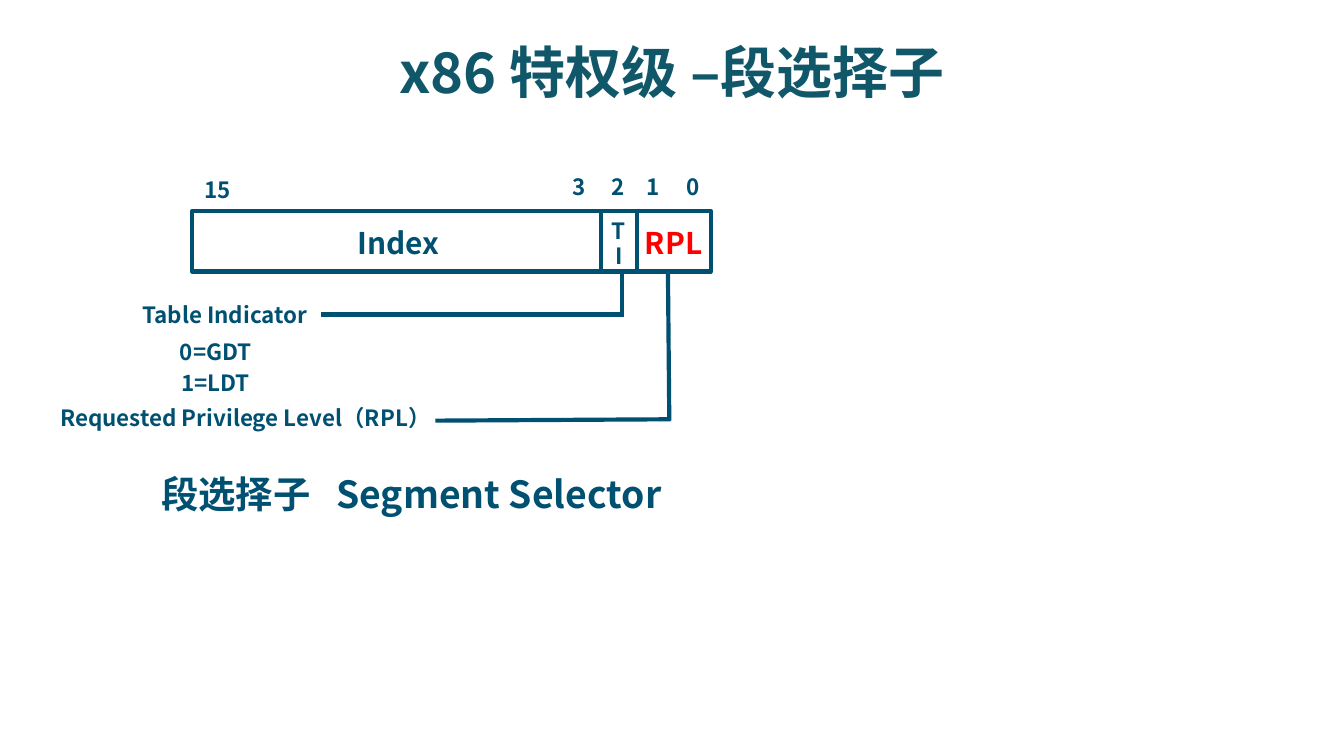
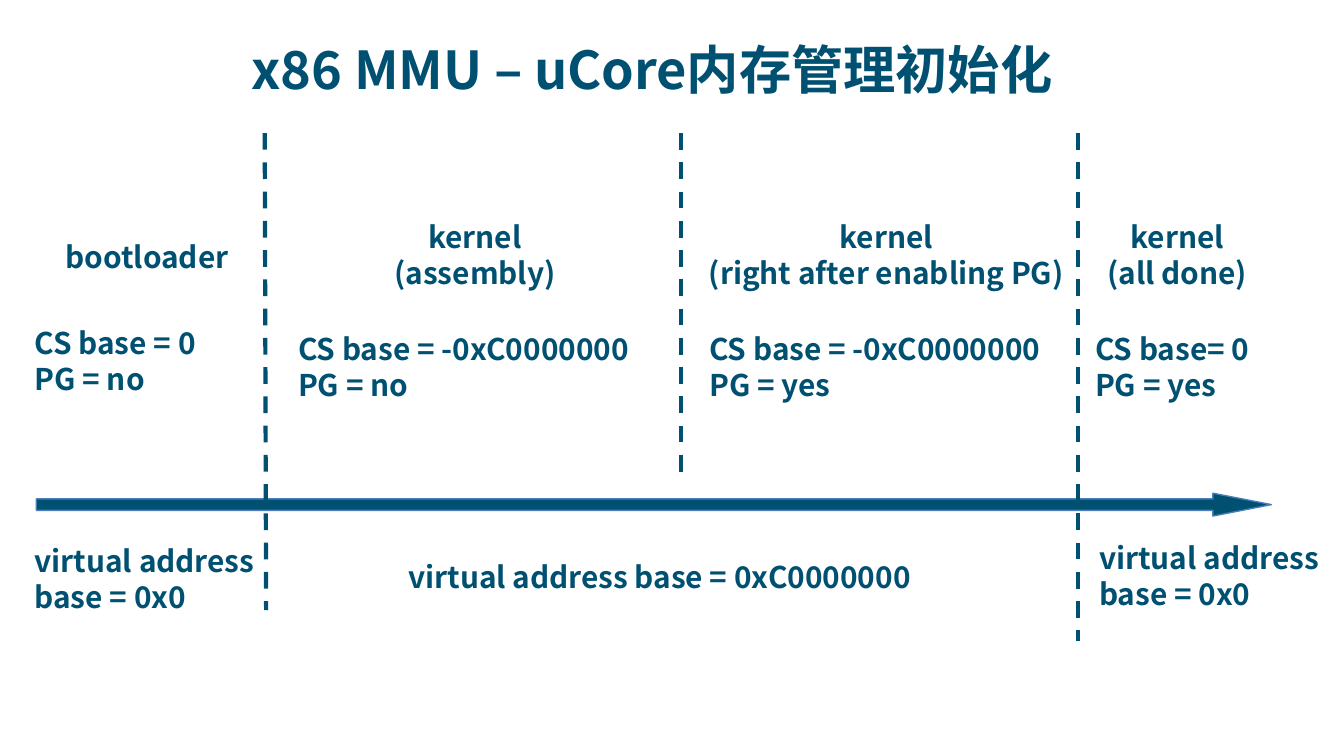
from typing import NamedTuple

from lxml import etree
from pptx import Presentation
from pptx import util as u
from pptx.dml.color import RGBColor
from pptx.enum import dml, shapes, text
from pptx.oxml.ns import qn

# Shared style: 100 px to the inch
PX = 9144
FONT = "Noto Sans CJK SC"
NAVY = "005072"
TEAL = "11576A"
RED = "FF0000"
ARROW_EDGE = "4A7EBB"
LINE_WIDTH = 2.25
LINE_PITCH = 1.2


class Label(NamedTuple):
    words: str
    left: int
    top: int
    width: int
    height: int
    size: int = 16
    color: str = NAVY
    centered: bool = False
    wrap: bool = True


class Line(NamedTuple):
    x1: int
    y1: int
    x2: int
    y2: int


def px(length: int) -> u.Emu:
    return u.Emu(length * PX)


def rgb(value: str) -> RGBColor:
    return RGBColor.from_string(value)


def write(box, label: Label) -> None:
    """Place a text shape and fill it, one paragraph per line of words."""
    box.left, box.top = px(label.left), px(label.top)
    box.width, box.height = px(label.width), px(label.height)
    frame = box.text_frame
    frame.text = label.words
    frame.word_wrap = label.wrap
    frame.auto_size = text.MSO_AUTO_SIZE.SHAPE_TO_FIT_TEXT
    frame.vertical_anchor = text.MSO_ANCHOR.TOP
    for para in frame.paragraphs:
        para.alignment = text.PP_ALIGN.CENTER if label.centered else text.PP_ALIGN.LEFT
        para.line_spacing = u.Pt(round(label.size * LINE_PITCH, 1))
        para.space_before = u.Pt(0)
        font = para.font
        font.size, font.bold, font.name = u.Pt(label.size), True, FONT
        font.color.rgb = rgb(label.color)
        # East Asian letters need the font named separately
        defaults = para._p.pPr.find(qn("a:defRPr"))
        etree.SubElement(defaults, qn("a:ea")).set("typeface", FONT)


def add_page(deck, title: Label):
    page = deck.slides.add_slide(deck.slide_layouts[5])
    write(page.shapes.title, title)
    return page


def add_label(page, label: Label) -> None:
    write(page.shapes.add_textbox(0, 0, 0, 0), label)


def add_line(page, line: Line, dashed: bool = False) -> None:
    connector = page.shapes.add_connector(
        shapes.MSO_CONNECTOR.STRAIGHT, *(px(value) for value in line))
    connector.line.color.rgb = rgb(NAVY)
    connector.line.width = u.Pt(LINE_WIDTH)
    if dashed:
        connector.line.dash_style = dml.MSO_LINE.DASH
    etree.SubElement(connector._element.spPr, qn("a:effectLst"))


def add_box(page, kind, left: int, top: int, width: int, height: int,
            edge: str, weight: float, fill: str = ""):
    box = page.shapes.add_shape(kind, px(left), px(top), px(width), px(height))
    box.shadow.inherit = False
    box.line.color.rgb = rgb(edge)
    box.line.width = u.Pt(weight)
    if fill:
        box.fill.solid()
        box.fill.fore_color.rgb = rgb(fill)
    else:
        box.fill.background()
    return box


def build_selector(deck) -> None:
    page = add_page(deck, Label("x86 特权级 –段选择子", 0, 23, 1000, 61, 30, TEAL, True))

    # Register outline, field borders and leader lines
    add_box(page, shapes.MSO_SHAPE.RECTANGLE, 143, 157, 386, 45, NAVY, LINE_WIDTH)
    for line in (
        Line(447, 156, 447, 202),
        Line(474, 158, 474, 203),
        Line(463, 204, 463, 233),
        Line(464, 234, 239, 234),
        Line(497, 201, 498, 313),
        Line(499, 312, 324, 313),
    ):
        add_line(page, line)

    # Bit numbers
    add_label(page, Label("15", 142, 126, 49, 50, 12))
    for bit, left in zip("3210", (416, 445, 471, 501)):
        add_label(page, Label(bit, left, 124, 29, 30, 12))

    # Field names and explanations
    for label in (
        Label("Index", 256, 162, 139, 54),
        Label("T", 445, 157, 32, 30, 12),
        Label("I", 448, 175, 32, 30, 12),
        Label("RPL", 470, 162, 71, 37, color=RED),
        Label("Table Indicator", 96, 219, 170, 30, 12),
        Label("0=GDT", 124, 247, 86, 30, 12),
        Label("1=LDT", 125, 270, 86, 30, 12),
        Label("Requested Privilege Level（RPL）", 35, 296, 547, 44, 12),
        Label("段选择子   Segment Selector", 110, 346, 419, 44, 20),
    ):
        add_label(page, label)


def build_memory_setup(deck) -> None:
    page = add_page(deck, Label("x86 MMU – uCore内存管理初始化", 177, 23, 693, 57, 28))

    # Segment base and paging state of each stage
    for words, left, top, width in (
        ("CS base = 0\nPG = no", 16, 237, 151),
        ("CS base = -0xC0000000\nPG = no", 212, 241, 286),
        ("CS base = -0xC0000000\nPG = yes", 518, 241, 286),
        ("CS base= 0\nPG = yes", 805, 241, 145),
    ):
        add_label(page, Label(words, left, top, width, 64, wrap=False))

    # Stage names
    add_label(page, Label("bootloader", 39, 173, 145, 37, wrap=False))
    for stage, left, width in (
        ("(assembly)", 282, 143),
        ("(right after enabling PG)", 511, 297),
        ("(all done)", 812, 128),
    ):
        add_label(page, Label(f"kernel\n{stage}", left, 158, width, 64,
                              centered=True, wrap=False))

    # Time arrow and stage dividers
    arrow = add_box(page, shapes.MSO_SHAPE.RIGHT_ARROW, 27, 367, 919, 17,
                    ARROW_EDGE, 0.75, NAVY)
    arrow.adjustments[0], arrow.adjustments[1] = 0.5, 2.56
    for line in (
        Line(197, 99, 198, 454),
        Line(507, 99, 507, 357),
        Line(802, 99, 802, 477),
    ):
        add_line(page, line, dashed=True)

    # Virtual address bases
    for words, left, top, width, height in (
        ("virtual address\nbase = 0x0", 16, 399, 187, 64),
        ("virtual address base = 0xC0000000", 294, 411, 415, 37),
        ("virtual address\nbase = 0x0", 808, 397, 187, 64),
    ):
        add_label(page, Label(words, left, top, width, height, wrap=False))


def main() -> None:
    deck = Presentation()
    deck.slide_width = px(1000)
    deck.slide_height = u.Emu(deck.slide_width * 9 // 16)
    build_selector(deck)
    build_memory_setup(deck)
    deck.save("out.pptx")


if __name__ == "__main__":
    main()
